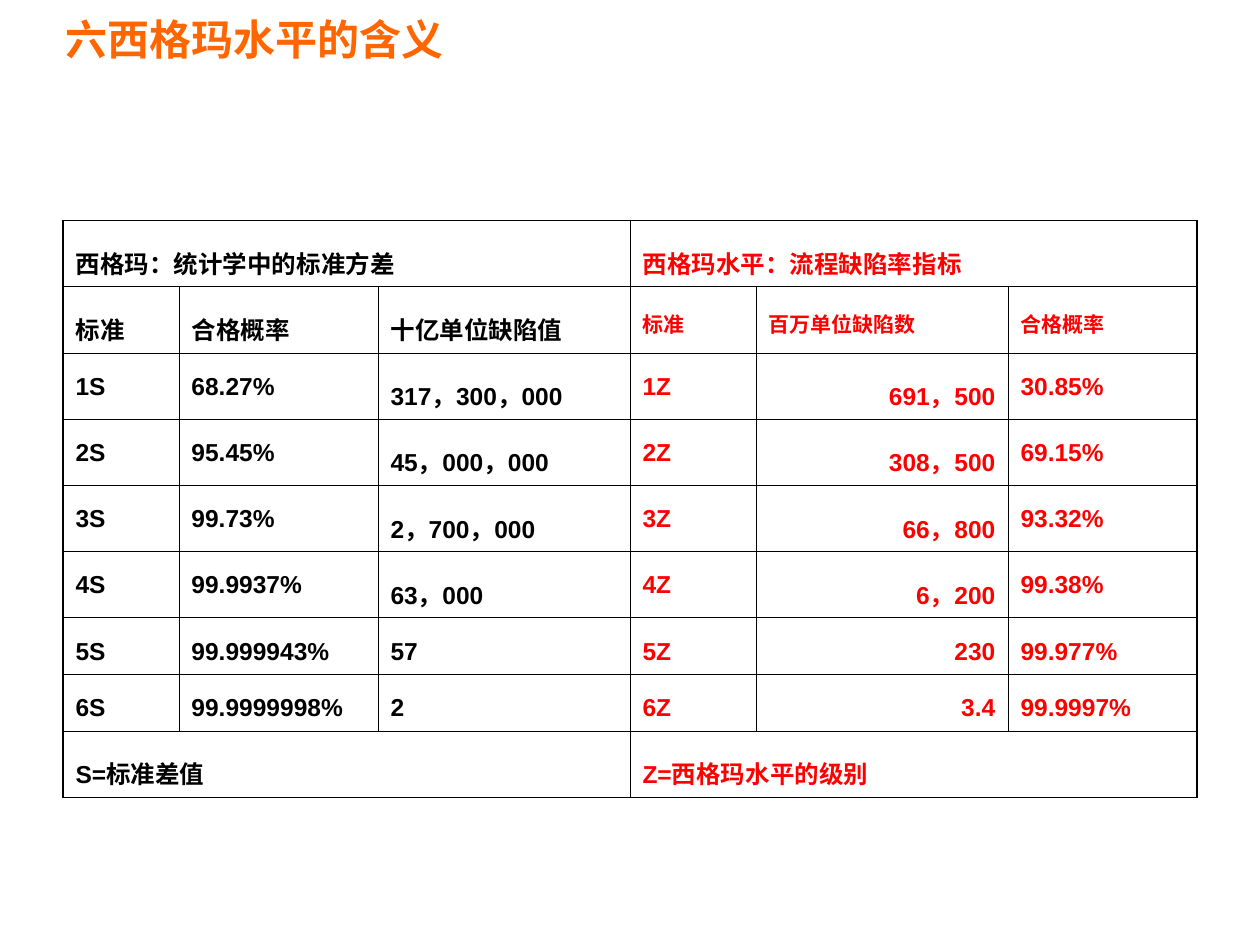
from dataclasses import dataclass

from lxml.etree import SubElement
from pptx import Presentation
from pptx.dml.color import RGBColor
from pptx.enum.lang import MSO_LANGUAGE_ID as Language
from pptx.enum.text import MSO_ANCHOR as Anchor, MSO_AUTO_SIZE as AutoSize, PP_ALIGN as Align
from pptx.oxml.ns import qn
from pptx.util import Inches, Pt

ORANGE = RGBColor(0xFF, 0x66, 0x00)
BLACK = RGBColor(0x00, 0x00, 0x00)
RED = RGBColor(0xFF, 0x00, 0x00)

COLUMN_WIDTHS = (0.92, 1.58, 2, 1, 2, 1.5)
ROW_HEIGHT = 0.45
HALF = len(COLUMN_WIDTHS) // 2
DEFECTS_PER_MILLION = 4
THIN, THICK = 0.45, 1.08

HEADINGS = ("西格玛：统计学中的标准方差", "西格玛水平：流程缺陷率指标")
COLUMN_NAMES = ("标准", "合格概率", "十亿单位缺陷值", "标准", "百万单位缺陷数", "合格概率")
LEGENDS = ("S=标准差值", "Z=西格玛水平的级别")


@dataclass(frozen=True)
class SigmaLevel:
    yield_rate: str
    defects_per_billion: str
    defects_per_million: str
    process_yield: str

    def cells(self, level: int) -> tuple[str, ...]:
        return (f"{level}S", self.yield_rate, self.defects_per_billion,
                f"{level}Z", self.defects_per_million, self.process_yield)


LEVELS = (
    SigmaLevel("68.27%", "317，300，000", "691，500", "30.85%"),
    SigmaLevel("95.45%", "45，000，000", "308，500", "69.15%"),
    SigmaLevel("99.73%", "2，700，000", "66，800", "93.32%"),
    SigmaLevel("99.9937%", "63，000", "6，200", "99.38%"),
    SigmaLevel("99.999943%", "57", "230", "99.977%"),
    SigmaLevel("99.9999998%", "2", "3.4", "99.9997%"),
)
LAST_ROW = len(LEVELS) + 2
LAST_COLUMN = len(COLUMN_WIDTHS) - 1


def set_all(target, values: dict) -> None:
    for name, value in values.items():
        setattr(target, name, value)


def write(para, text: str, size: float, color: RGBColor) -> None:
    span = para.add_run()
    span.text = text
    set_all(span.font, {"name": "Arial", "size": Pt(size), "bold": True,
                        "language_id": Language.SIMPLIFIED_CHINESE})
    span.font.color.rgb = color


def draw_borders(cell, row: int, column: int, columns_spanned: int) -> None:
    """Thick lines on the table's outer edge, thin ones inside."""
    on_edge = {
        "lnL": column == 0,
        "lnR": column + columns_spanned - 1 == LAST_COLUMN,
        "lnT": row == 0,
        "lnB": row == LAST_ROW,
    }
    properties = cell._tc.get_or_add_tcPr()
    for side, outer in on_edge.items():
        line = SubElement(properties, qn(f"a:{side}"), w=str(Pt(THICK if outer else THIN)))
        fill = SubElement(line, qn("a:solidFill"))
        SubElement(fill, qn("a:srgbClr"), val=str(BLACK))


def fill_cell(table, row: int, column: int, text: str, columns_spanned: int = 1) -> None:
    cell = table.cell(row, column)
    if columns_spanned > 1:
        cell.merge(table.cell(row, column + columns_spanned - 1))
    draw_borders(cell, row, column, columns_spanned)
    cell.fill.background()

    right_half = column >= HALF
    small = row == 1 and right_half
    numeric = row > 1 and column == DEFECTS_PER_MILLION
    para = cell.text_frame.paragraphs[0]
    set_all(para, {"line_spacing": 1.5, "space_before": Pt(3 if small else 3.5),
                   "alignment": Align.RIGHT if numeric else Align.LEFT})
    write(para, text, 12 if small else 14, RED if right_half else BLACK)


def add_title(page, text: str) -> None:
    title = page.shapes.title
    set_all(title, {"left": Inches(0.42), "top": 0,
                    "width": Inches(4.58), "height": Inches(0.62)})
    set_all(title.text_frame, {"vertical_anchor": Anchor.MIDDLE, "auto_size": AutoSize.NONE})
    para = title.text_frame.paragraphs[0]
    para.alignment = Align.LEFT
    write(para, text, 24, ORANGE)


def add_sigma_table(page) -> None:
    rows = LAST_ROW + 1
    table = page.shapes.add_table(rows, len(COLUMN_WIDTHS), Inches(0.5), Inches(1.75),
                                  Inches(sum(COLUMN_WIDTHS)), Inches(ROW_HEIGHT * rows)).table
    set_all(table, {"first_row": False, "horz_banding": False})
    for column, width in zip(table.columns, COLUMN_WIDTHS):
        column.width = Inches(width)
    for row in table.rows:
        row.height = Inches(ROW_HEIGHT)

    for row, texts in ((0, HEADINGS), (LAST_ROW, LEGENDS)):
        for half, text in enumerate(texts):
            fill_cell(table, row, half * HALF, text, HALF)
    body = [COLUMN_NAMES] + [level.cells(number) for number, level in enumerate(LEVELS, 1)]
    for row, texts in enumerate(body, 1):
        for column, text in enumerate(texts):
            fill_cell(table, row, column, text)


def main() -> None:
    deck = Presentation()
    set_all(deck, {"slide_width": Inches(10), "slide_height": Inches(7.5)})
    page = deck.slides.add_slide(deck.slide_layouts.get_by_name("Title Only"))
    add_title(page, "六西格玛水平的含义")
    add_sigma_table(page)
    deck.save("out.pptx")


if __name__ == "__main__":
    main()
